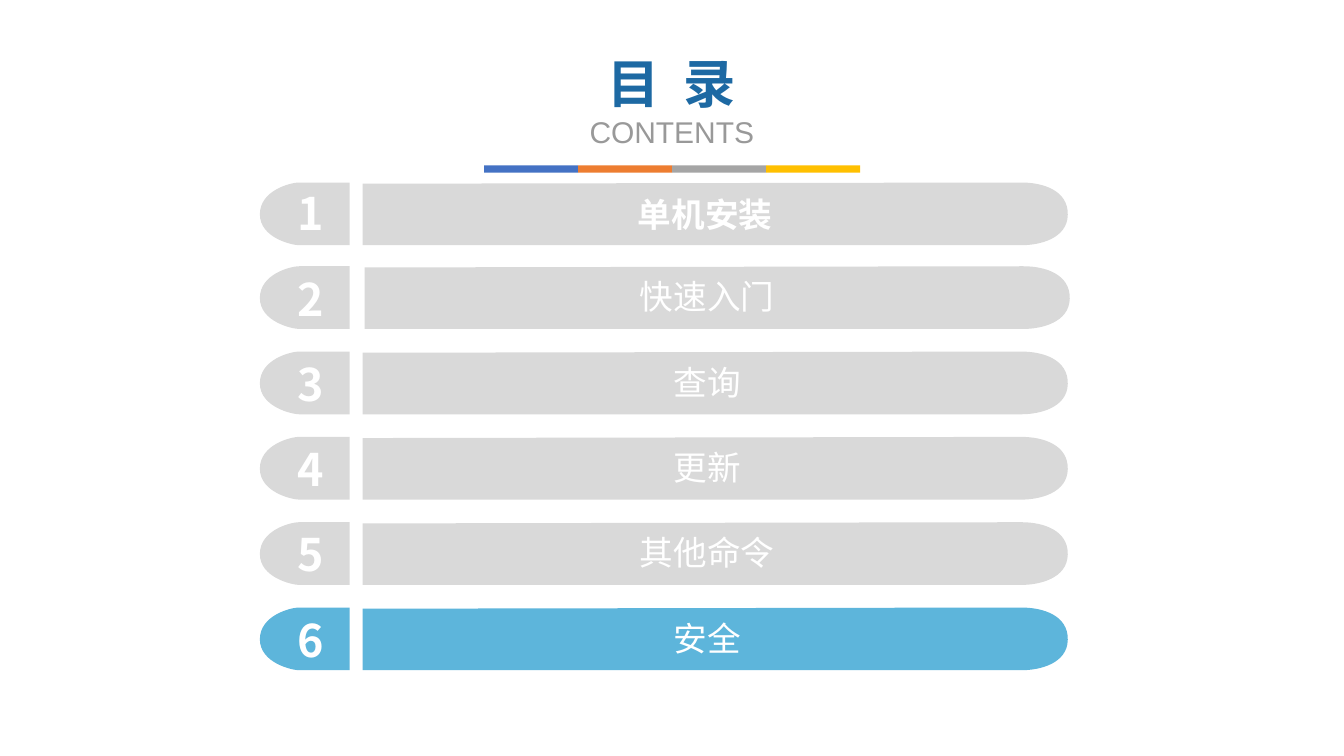
from pptx import Presentation
from pptx.dml.color import RGBColor
from pptx.enum.shapes import MSO_SHAPE
from pptx.enum.text import MSO_ANCHOR, MSO_AUTO_SIZE, PP_ALIGN
from pptx.oxml.ns import qn
from pptx.util import Cm, Pt
from lxml.etree import SubElement

CJK_FONT = "Noto Sans CJK SC"
WHITE, GREY, BLUE = "FFFFFF", "D9D9D9", "5DB5DB"
STRIPE_COLOURS = ["4472C4", "ED7D31", "A5A5A5", "FFC000"]
TOPICS = ["单机安装", "快速入门", "查询", "更新", "其他命令", "安全"]
FIRST_TOP, SECOND_TOP, ROW_STEP = 4.6, 6.71, 2.15
BAR_HEIGHT = 1.58

# Outlines in cm, measured down from the top of a bar: a start point, then
# segments of one point (straight) or three points (Bézier curve)
BADGE = [
    [(8.81, 0)],
    [(8.81, 0.79), (8.81, BAR_HEIGHT), (8.81, BAR_HEIGHT)],
    [(7.54, BAR_HEIGHT)],
    [(7.37, BAR_HEIGHT), (6.55, 1.4), (6.55, 0.8)],
    [(6.55, 0.2), (7.32, 0), (7.54, 0)],
    [(8.81, 0)],
]
BAR = [
    [(9.14, 0.03)],
    [(9.14, BAR_HEIGHT)],
    [(9.75, BAR_HEIGHT), (25.29, BAR_HEIGHT), (25.74, BAR_HEIGHT)],
    [(26.19, BAR_HEIGHT), (26.9, 1.42), (26.91, 0.81)],
    [(26.92, 0.2), (26.29, 0), (25.74, 0)],
    [(25.19, 0), (9.75, 0.03), (9.14, 0.03)],
]


def colour(hex_code):
    return RGBColor.from_string(hex_code)


def paint(shape, fill):
    shape.shadow.inherit = False
    shape.fill.solid()
    shape.fill.fore_color.rgb = colour(fill)
    shape.line.fill.background()


def add_text(shapes, lines, left, top, width, height, *, wrap=True):
    """Each line is (text, size, font, colour, bold)."""
    box = shapes.add_textbox(Cm(left), Cm(top), Cm(width), Cm(height))
    frame = box.text_frame
    frame.word_wrap = wrap
    frame.auto_size = MSO_AUTO_SIZE.SHAPE_TO_FIT_TEXT
    frame.vertical_anchor = MSO_ANCHOR.TOP
    for index, (text, size, font, hex_code, bold) in enumerate(lines):
        paragraph = frame.add_paragraph() if index else frame.paragraphs[0]
        paragraph.alignment = PP_ALIGN.CENTER
        run = paragraph.add_run()
        run.text = text
        run.font.size = Pt(size)
        run.font.bold = bold
        run.font.color.rgb = colour(hex_code)
        run.font.name = font
        east_asian = SubElement(run.font._element, qn("a:ea"))
        east_asian.set("typeface", CJK_FONT)


def add_outline(shapes, segments, top, fill, shift=0):
    start, *rest = [(Cm(x + shift), Cm(top + y))
                    for segment in segments for x, y in segment]
    builder = shapes.build_freeform(*start)
    builder.add_line_segments(rest, close=True)
    shape = builder.convert_to_shape()
    paint(shape, fill)

    # Merge the three points of each curve into one Bézier element
    drawn = iter(list(shape._element.iter(qn("a:lnTo"))))
    for segment in segments[1:]:
        steps = [next(drawn) for _ in segment]
        if len(steps) == 3:
            bezier = steps[0].makeelement(qn("a:cubicBezTo"))
            steps[0].addprevious(bezier)
            for step in steps:
                bezier.append(step[0])
                step.getparent().remove(step)


def add_heading(shapes):
    stripe_width = 2.37
    stripes = shapes.add_group_shape().shapes
    for index, fill in enumerate(STRIPE_COLOURS):
        stripe = stripes.add_shape(
            MSO_SHAPE.RECTANGLE, Cm(12.2 + index * stripe_width), Cm(4.17),
            Cm(stripe_width), Cm(0.18))
        paint(stripe, fill)
    add_text(shapes, [("目  录", 37.4, "Roboto Condensed", "1D69A3", True),
                      ("CONTENTS", 21.4, "Arial", "999999", False)],
             14.19, 1.16, 5.48, 2.77)


def add_topic(shapes, number, topic):
    first = number == 1
    top = FIRST_TOP if first else SECOND_TOP + (number - 2) * ROW_STEP
    fill = BLUE if number == len(TOPICS) else GREY
    row = shapes.add_group_shape().shapes
    add_outline(row, BADGE, top, fill)
    add_outline(row, BAR, top, fill, shift=0.05 if number == 2 else 0)
    add_text(row, [(str(number), 32, CJK_FONT, WHITE, True)],
             7.22, top - 0.05 if first else top, 1.22, 1.63, wrap=False)
    add_text(row, [(topic, 24, CJK_FONT, WHITE, first)],
             9.22 if first else 9.27, top + (0.16 if first else 0.13), 17.1, 1.27)


def main():
    deck = Presentation()
    deck.slide_width, deck.slide_height = Cm(33.87), Cm(19.05)
    shapes = deck.slides.add_slide(deck.slide_layouts[6]).shapes
    add_heading(shapes)
    for number, topic in enumerate(TOPICS, start=1):
        add_topic(shapes, number, topic)
    deck.save("out.pptx")


if __name__ == "__main__":
    main()
